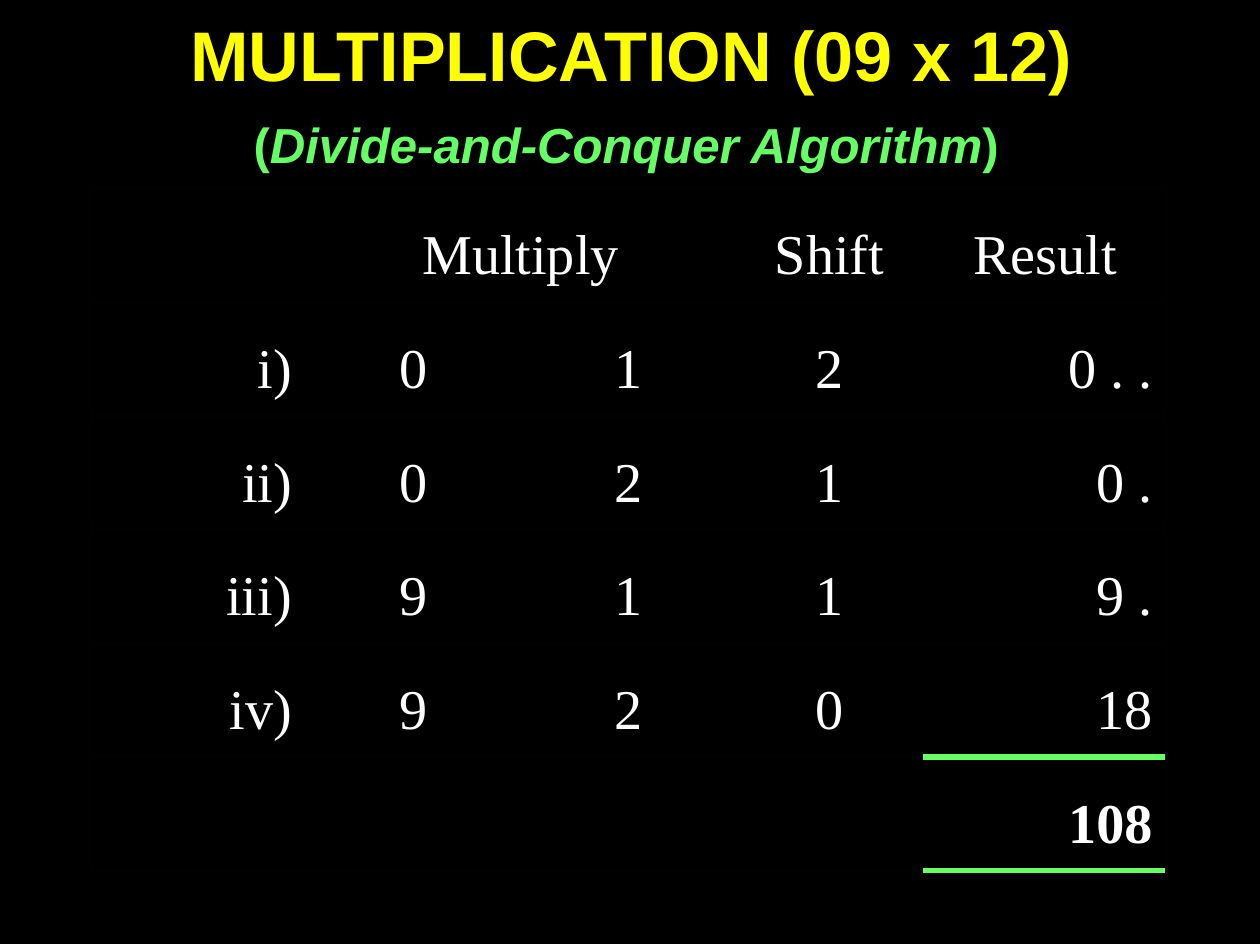
from dataclasses import dataclass

from lxml import etree
from pptx import Presentation
from pptx.dml.color import RGBColor
from pptx.enum.shapes import MSO_CONNECTOR
from pptx.enum.text import MSO_ANCHOR, PP_ALIGN
from pptx.oxml.ns import qn
from pptx.util import Inches, Pt

CENTER, RIGHT = PP_ALIGN.CENTER, PP_ALIGN.RIGHT
MIDDLE, BOTTOM = MSO_ANCHOR.MIDDLE, MSO_ANCHOR.BOTTOM
STRAIGHT = MSO_CONNECTOR.STRAIGHT
NO_GRID_STYLE = "{2D5ABB26-0587-4C30-8999-92F81FD0307C}"

SLIDE_WIDTH, SLIDE_HEIGHT = 9.97, 7.47
TABLE_LEFT, TABLE_TOP, ROW_HEIGHT = 0.72, 1.49, 0.9
COLUMN_WIDTHS = [1.69, 1.7, 1.7, 1.49, 1.92]
COLUMN_ALIGNS = [RIGHT, CENTER, CENTER, CENTER, RIGHT]
STEPS = [
    ["", "Multiply", "", "Shift", "Result"],
    ["i)", "0", "1", "2", "0 . ."],
    ["ii)", "0", "2", "1", "0 ."],
    ["iii)", "9", "1", "1", "9 ."],
    ["iv)", "9", "2", "0", "18"],
    ["", "", "", "", "108"],
]
ROWS, COLUMNS = len(STEPS), len(COLUMN_WIDTHS)
TOTAL_ROW, RESULT_COLUMN = ROWS - 1, COLUMNS - 1


@dataclass(frozen=True)
class Theme:
    """Colours, fonts and type sizes of the slide."""
    background: str = "000000"
    title: str = "FFFF00"
    subtitle: str = "65FF65"
    rule: str = "66FF66"
    text: str = "FFFFFF"
    grid: str = "010101"
    heading_font: str = "Arial"
    body_font: str = "Times New Roman"
    title_size: int = 40
    subtitle_size: int = 28
    body_size: int = 32
    grid_width: float = 2.25
    rule_width: float = 3


THEME = Theme()


def set_attributes(target, values):
    """Set every attribute named in values on target."""
    for name, value in values.items():
        setattr(target, name, value)


def add_run(paragraph, text, color, **font_values):
    """Append a formatted run to a paragraph."""
    run = paragraph.add_run()
    run.text = text
    set_attributes(run.font, font_values)
    run.font.color.rgb = RGBColor.from_string(color)


def fill_heading(placeholder, box, size, color, parts):
    """Move a placeholder to box and write its (text, italic) parts."""
    sides = ("left", "top", "width", "height")
    set_attributes(placeholder, dict(zip(sides, map(Inches, box))))
    frame = placeholder.text_frame
    set_attributes(frame, dict(margin_left=0, margin_right=0, margin_top=0,
                               margin_bottom=0, vertical_anchor=MIDDLE,
                               word_wrap=True))
    paragraph = frame.paragraphs[0]
    set_attributes(paragraph, dict(alignment=CENTER, space_before=Pt(0)))
    for text, italic in parts:
        add_run(paragraph, text, color, name=THEME.heading_font, size=Pt(size),
                bold=True, italic=italic)


def grid_point(column, row):
    """Return the slide position of a crossing of the table grid."""
    return (Inches(TABLE_LEFT + sum(COLUMN_WIDTHS[:column])),
            Inches(TABLE_TOP + row * ROW_HEIGHT))


def add_grid_line(slide, start, end, color=THEME.grid, width=THEME.grid_width):
    """Draw a line between two (column, row) crossings."""
    connector = slide.shapes.add_connector(STRAIGHT, *grid_point(*start),
                                           *grid_point(*end))
    connector.line.color.rgb = RGBColor.from_string(color)
    connector.line.width = Pt(width)
    etree.SubElement(connector._element.spPr, qn("a:effectLst"))


def add_grid(slide):
    """Draw the quiet grid, with green rules around the total."""
    for column in (0, COLUMNS):
        add_grid_line(slide, (column, 0), (column, ROWS))
    for row in range(TOTAL_ROW):
        add_grid_line(slide, (0, row), (COLUMNS, row))
    for row in (TOTAL_ROW, ROWS):
        add_grid_line(slide, (0, row), (RESULT_COLUMN, row))
        add_grid_line(slide, (RESULT_COLUMN, row), (COLUMNS, row),
                      THEME.rule, THEME.rule_width)


def fill_cell(cell, text, alignment, bold):
    """Write one table cell."""
    cell.fill.background()
    set_attributes(cell, dict(margin_left=Inches(0.12), margin_right=Inches(0.1),
                              margin_top=0, margin_bottom=Inches(0.12),
                              vertical_anchor=BOTTOM))
    paragraph = cell.text_frame.paragraphs[0]
    paragraph.alignment = alignment
    if text:
        add_run(paragraph, text, THEME.text, name=THEME.body_font,
                size=Pt(THEME.body_size), bold=bold)


def add_steps_table(slide):
    """Add the table of partial products, shifts and results."""
    steps_table = slide.shapes.add_table(
        ROWS, COLUMNS, *grid_point(0, 0), Inches(sum(COLUMN_WIDTHS)),
        Inches(ROW_HEIGHT * ROWS)).table
    set_attributes(steps_table, dict(first_row=False, horz_banding=False))
    steps_table._tbl.tblPr.find(qn("a:tableStyleId")).text = NO_GRID_STYLE
    for column, width in zip(steps_table.columns, COLUMN_WIDTHS):
        column.width = Inches(width)
    for row, values in enumerate(STEPS):
        steps_table.rows[row].height = Inches(ROW_HEIGHT)
        for column, value in enumerate(values):
            alignment = CENTER if row == 0 else COLUMN_ALIGNS[column]
            fill_cell(steps_table.cell(row, column), value, alignment,
                      bold=row == TOTAL_ROW)
    steps_table.cell(0, 1).merge(steps_table.cell(0, 2))


def main():
    """Build the slide and save it."""
    presentation = Presentation()
    set_attributes(presentation, dict(slide_width=Inches(SLIDE_WIDTH),
                                      slide_height=Inches(SLIDE_HEIGHT)))
    slide = presentation.slides.add_slide(presentation.slide_layouts[0])
    background = slide.background.fill
    background.solid()
    background.fore_color.rgb = RGBColor.from_string(THEME.background)
    add_grid(slide)
    fill_heading(slide.shapes.title, (1.04, 0.13, 7.91, 0.58),
                 THEME.title_size, THEME.title,
                 [("MULTIPLICATION (09 x 12)", False)])
    fill_heading(slide.placeholders[1], (1.95, 0.93, 6.01, 0.42),
                 THEME.subtitle_size, THEME.subtitle,
                 [("(", False), ("Divide-and-Conquer Algorithm", True), (")", False)])
    add_steps_table(slide)
    presentation.save("out.pptx")


main()
